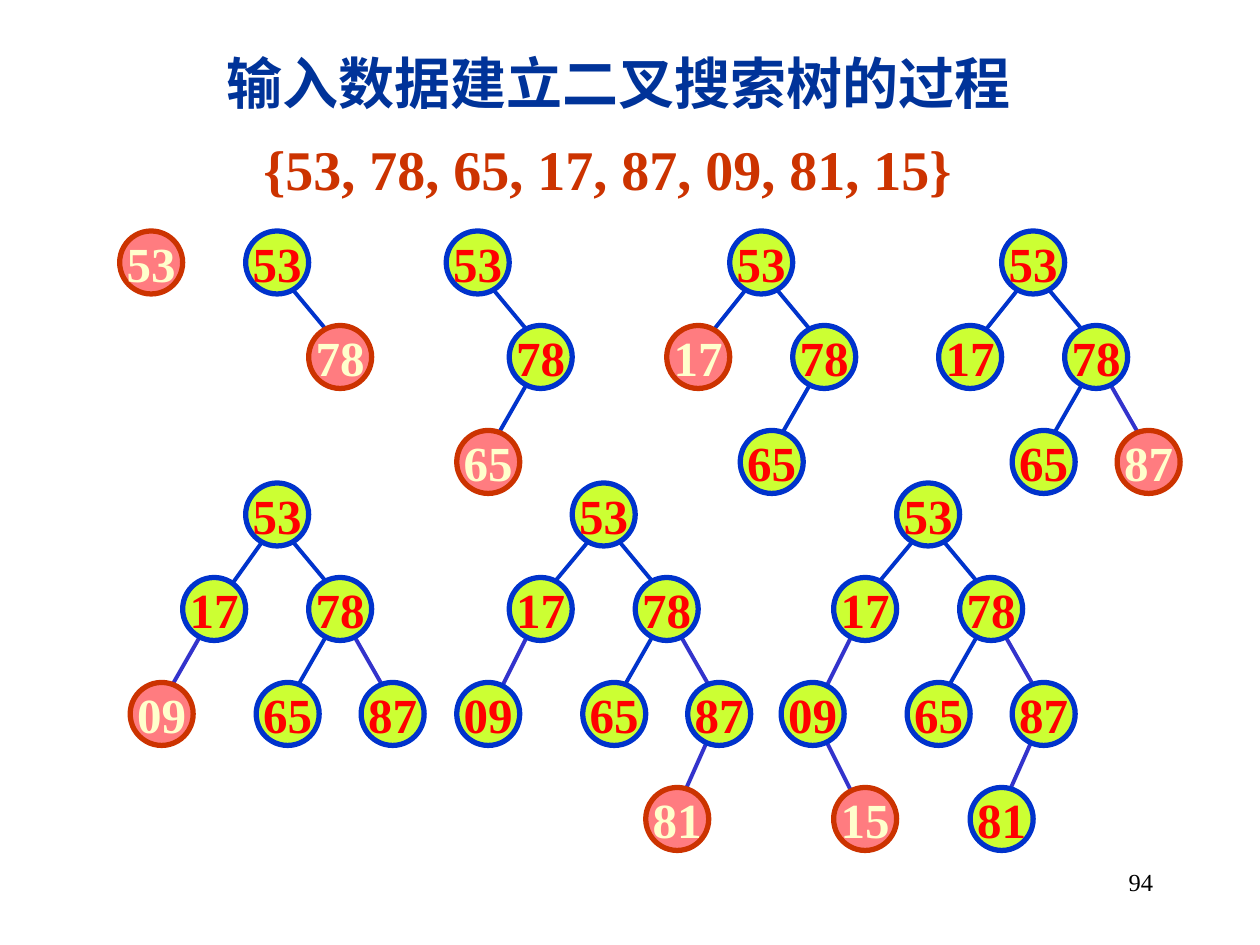
from dataclasses import dataclass

from lxml import etree
from pptx import Presentation
from pptx import util as u
from pptx.dml.color import RGBColor
from pptx.enum import shapes, text
from pptx.oxml.ns import qn

PX = u.Inches(1) // 120


@dataclass(frozen=True)
class Theme:
    font: str = "Times New Roman"
    title: str = "003399"
    accent: str = "CC3300"
    page_number: str = "000000"
    edge: str = "0033CC"
    late_edge: str = "3333CC"
    node_fill: str = "CCFF33"
    node_text: str = "FF0000"
    new_fill: str = "FF7C80"
    new_text: str = "FFFFCC"
    heading_size: int = 32
    node_size: int = 28
    number_size: int = 14
    edge_width: float = 2.25
    outline_width: float = 3


class Board:
    def __init__(self, page, theme):
        self.page = page
        self.theme = theme

    def add_words(self, frame, words, size, color, bold, align):
        para = frame.paragraphs[0]
        para.alignment = align
        span = para.add_run()
        span.text = words
        span.font.name = self.theme.font
        span.font.size = u.Pt(size)
        span.font.bold = bold
        span.font.color.rgb = RGBColor.from_string(color)

    def label(self, area, words, size, color, bold=True, align=text.PP_ALIGN.LEFT):
        box = self.page.shapes.add_textbox(*(n * PX for n in area))
        box.text_frame.word_wrap = True
        self.add_words(box.text_frame, words, size, color, bold, align)

    def edge(self, start, end, color):
        line = self.page.shapes.add_connector(
            shapes.MSO_CONNECTOR.STRAIGHT, *(n * PX for n in (*start, *end)))
        line.line.color.rgb = RGBColor.from_string(color)
        line.line.width = u.Pt(self.theme.edge_width)
        etree.SubElement(line._element.spPr, qn("a:effectLst"))

    def node(self, corner, key, is_new):
        theme = self.theme
        fill, outline, ink = (
            (theme.new_fill, theme.accent, theme.new_text) if is_new
            else (theme.node_fill, theme.edge, theme.node_text))
        left, top = corner
        circle = self.page.shapes.add_shape(
            shapes.MSO_SHAPE.OVAL, left * PX, top * PX, NODE * PX, NODE * PX)
        circle.shadow.inherit = False
        circle.fill.solid()
        circle.fill.fore_color.rgb = RGBColor.from_string(fill)
        circle.line.color.rgb = RGBColor.from_string(outline)
        circle.line.width = u.Pt(theme.outline_width)
        frame = circle.text_frame
        frame.word_wrap = False
        frame.vertical_anchor = text.MSO_ANCHOR.MIDDLE
        self.add_words(frame, key, theme.node_size, ink, True, text.PP_ALIGN.CENTER)

    def tree(self, root, keys, bends):
        def place(point):
            return root[0] + point[0], root[1] + point[1]

        for key in keys[1:]:
            start, end = EDGES[key]
            late = key in LATE_KEYS
            self.edge(place(start), place(bends.get(key, end)),
                      self.theme.late_edge if late else self.theme.edge)
        for key in keys:
            self.node(place(NODES[key]), key, key == keys[-1])


# Node corners and parent-to-child edges, in px from the root's corner
NODE = 60
KEYS = ["53", "78", "65", "17", "87", "09", "81", "15"]
NODES = {
    "53": (0, 0), "78": (60, 90), "65": (10, 190), "17": (-60, 90),
    "87": (110, 190), "09": (-110, 190), "81": (70, 290), "15": (-60, 290),
}
EDGES = {
    "78": ((40, 50), (90, 110)),
    "65": ((80, 140), (40, 210)),
    "17": ((20, 50), (-30, 110)),
    "87": ((100, 140), (140, 210)),
    "09": ((-40, 140), (-70, 200)),
    "81": ((140, 220), (100, 310)),
    "15": ((-70, 240), (-40, 300)),
}
LATE_KEYS = {"87", "09", "81", "15"}

# Root corner of each step, with the edge ends that differ there
STEPS = [
    ((114, 220), {}),
    ((234, 220), {}),
    ((425, 220), {}),
    ((695, 220), {"17": (-20, 100)}),
    ((954, 220), {"17": (-20, 100)}),
    ((234, 460), {"17": (-30, 120), "09": (-80, 210)}),
    ((545, 460), {}),
    ((854, 460), {}),
]


def main():
    deck = Presentation()
    deck.slide_width, deck.slide_height = 1200 * PX, 900 * PX
    theme = Theme()
    board = Board(deck.slides.add_slide(deck.slide_layouts[6]), theme)

    # Headings
    board.label((204, 40, 798, 76), "输入数据建立二叉搜索树的过程",
                theme.heading_size, theme.title)
    board.label((239, 122, 698, 76), "{" + ", ".join(KEYS) + "}",
                theme.heading_size, theme.accent)

    # One tree per inserted key
    for count, (root, bends) in enumerate(STEPS, start=1):
        board.tree(root, KEYS[:count], bends)

    # Page number
    board.label((860, 820, 250, 60), "94", theme.number_size,
                theme.page_number, False, text.PP_ALIGN.RIGHT)

    deck.save("out.pptx")


if __name__ == "__main__":
    main()
